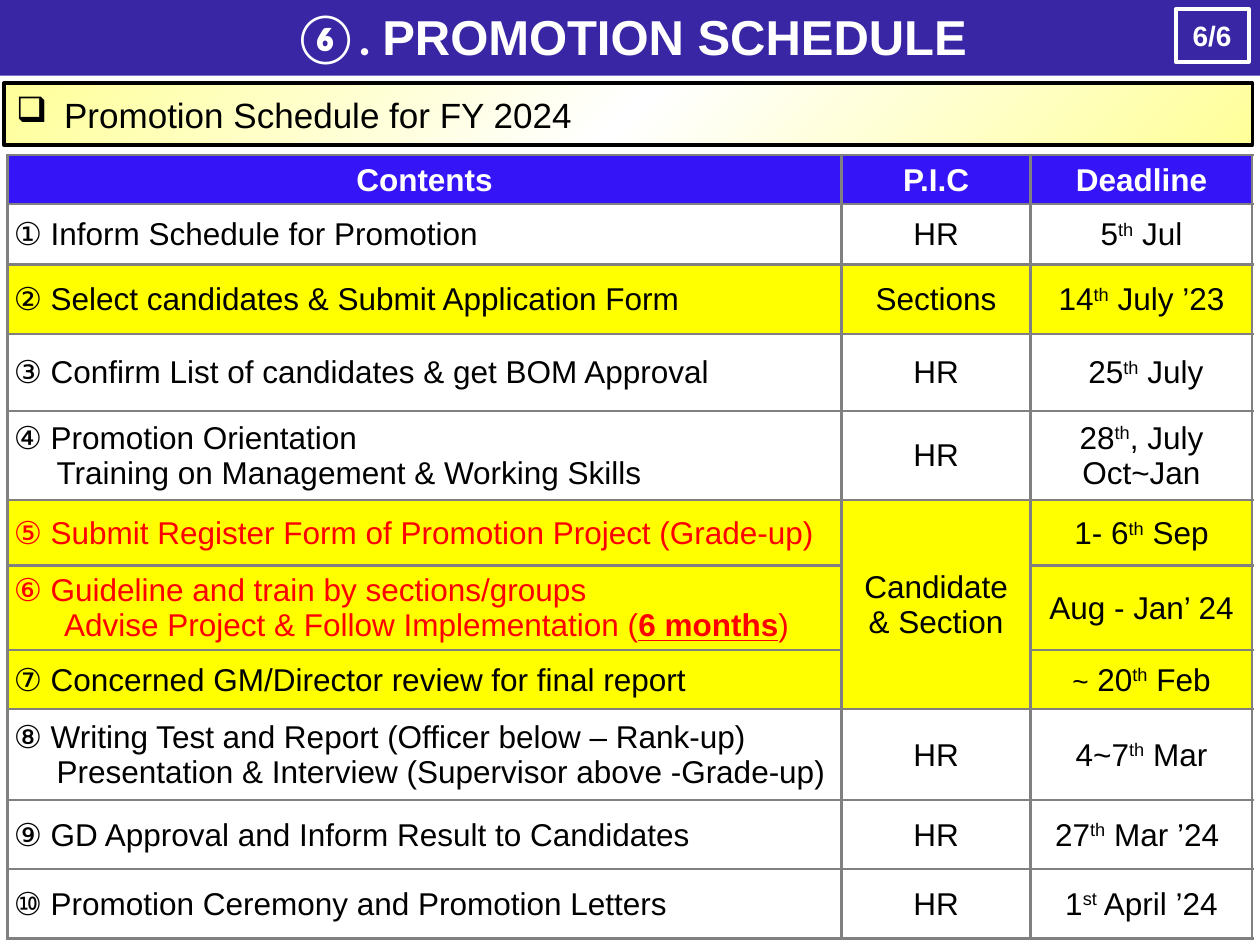
import copy

import pptx
import pptx.dml.color
import pptx.enum.shapes
import pptx.enum.text
import pptx.oxml
import pptx.oxml.ns
import pptx.util
from pptx.util import Inches

COLOURS = {
    "banner": "3826A4", "header": "3515F7", "highlight": "FFFF00",
    "cream": "FFFF99", "white": "FFFFFF", "black": "000000",
    "red": "FF0000", "grid": "808080",
}
ALIGN = pptx.enum.text.PP_ALIGN
MIDDLE = pptx.enum.text.MSO_ANCHOR.MIDDLE
TH = ("th", "raised")

HEADINGS = ["Contents", "P.I.C", "Deadline"]
COLUMN_WIDTHS = [6.62, 1.5, 1.76]
HEADER_HEIGHT = 0.39
TEXT_INDENT = 0.04

# Height, fill, text colour, hanging margin, contents, person in charge,
# deadline paragraphs. A styled span is a (text, style) pair.
ROWS = [
    (0.48, None, "black", 0.38, ["① Inform Schedule for Promotion"],
     ["HR"], [["5", TH, " Jul"]]),
    (0.55, "highlight", "black", 0.38, ["② Select candidates & Submit Application Form"],
     ["Sections"], [["14", TH, " July ’23"]]),
    (0.61, None, "black", 0.38, ["③ Confirm List of candidates & get BOM Approval"],
     ["HR"], [[" 25", TH, " July"]]),
    (0.71, None, "black", 0.38,
     ["④ Promotion Orientation\nTraining on Management & Working Skills"],
     ["HR"], [["28", TH, ", July"], ["Oct~Jan"]]),
    (0.52, "highlight", "red", 0.38,
     ["⑤ Submit Register Form of Promotion Project (Grade-up)"],
     ["Candidate", "& Section"], [["1- 6", TH, " Sep"]]),
    (0.67, "highlight", "red", 0.44,
     ["⑥ Guideline and train by sections/groups\n"
      "Advise Project & Follow Implementation (", ("6 months", "strong"), ")"],
     None, [["Aug - Jan’ 24"]]),
    (0.47, "highlight", "black", 0.38, ["⑦ Concerned GM/Director review for final report"],
     None, [[("~", "small"), " 20", TH, " Feb"]]),
    (0.72, None, "black", 0.38,
     ["⑧ Writing Test and Report (Officer below – Rank-up)\n"
      "Presentation & Interview (Supervisor above -Grade-up)"],
     ["HR"], [["4~7", TH, " Mar"]]),
    (0.55, None, "black", 0.38, ["⑨ GD Approval and Inform Result to Candidates"],
     ["HR"], [["27", TH, " Mar ’24 "]]),
    (0.55, None, "black", 0.38, ["⑩ Promotion Ceremony and Promotion Letters"],
     ["HR"], [["1", ("st", "raised"), " April ’24"]]),
]


def colour(name):
    return pptx.dml.color.RGBColor.from_string(COLOURS[name])


def set_font(font, size, colour_name, bold=False, name="Arial"):
    font.name, font.size, font.bold = name, pptx.util.Pt(size), bold
    font.color.rgb = colour(colour_name)


def set_hanging(para, margin, first_line):
    properties = para._p.get_or_add_pPr()
    properties.set("marL", str(Inches(margin)))
    properties.set("indent", str(Inches(first_line - margin)))
    return properties


def add_spans(para, spans):
    """Add plain or styled spans; a newline becomes a line break."""
    for item in spans:
        text, style = item if isinstance(item, tuple) else (item, None)
        for number, line in enumerate(text.split("\n")):
            if number:
                para.add_line_break()
            span = para.add_run()
            span.text = line
            if style == "raised":
                span._r.get_or_add_rPr().set("baseline", "30000")
            elif style == "strong":
                span.font.bold = span.font.underline = True
            elif style == "small":
                span.font.size = pptx.util.Pt(16)


def add_box(page, box, line_colour, line_width):
    shape = page.shapes.add_shape(
        pptx.enum.shapes.MSO_SHAPE.RECTANGLE, *map(Inches, box))
    shape.shadow.inherit = False
    shape.line.color.rgb = colour(line_colour)
    shape.line.width = pptx.util.Pt(line_width)
    shape.text_frame.word_wrap = True
    shape.text_frame.vertical_anchor = MIDDLE
    return shape


def place_title(page, box):
    title = page.shapes.title
    title.left, title.top, title.width, title.height = map(Inches, box)
    title.fill.solid()
    title.fill.fore_color.rgb = colour("banner")
    frame = title.text_frame
    frame.auto_size = pptx.enum.text.MSO_AUTO_SIZE.NONE
    frame.vertical_anchor = MIDDLE
    para = frame.paragraphs[0]
    para.alignment = ALIGN.CENTER
    for text, font_name in (("⑥. ", "Calibri"), ("PROMOTION SCHEDULE", "Arial")):
        span = para.add_run()
        span.text = text
        set_font(span.font, 28, "white", True, font_name)


def place_page_number(page, box):
    shape = add_box(page, box, "white", 2.25)
    shape.fill.solid()
    shape.fill.fore_color.rgb = colour("banner")
    shape.text_frame.margin_left = shape.text_frame.margin_right = 0
    para = shape.text_frame.paragraphs[0]
    para.text = "6/6"
    para.alignment = ALIGN.CENTER
    set_font(para.font, 16, "white", True)


def place_subtitle(page, box):
    shape = add_box(page, box, "black", 2)
    # Cream - white - cream diagonal gradient
    shape.fill.gradient()
    shape.fill.gradient_angle = 315
    first, middle = shape.fill.gradient_stops
    first.color.rgb, first.position = colour("cream"), 0
    middle.color.rgb, middle.position = colour("white"), 0.5
    stops = shape._element.spPr.find(".//" + pptx.oxml.ns.qn("a:gsLst"))
    last = copy.deepcopy(stops[0])
    last.set("pos", "100000")
    stops.append(last)
    # Bulleted text
    para = shape.text_frame.paragraphs[0]
    para.text = "Promotion Schedule for FY 2024"
    para.alignment = ALIGN.LEFT
    set_font(para.font, 20, "black")
    properties = set_hanging(para, 0.38, 0)
    bullet = pptx.oxml.parse_xml(
        f'<a:buChar {pptx.oxml.ns.nsdecls("a")} char="❑"/>')
    properties.insert(0, bullet)


def format_cell(cell, fill):
    cell.vertical_anchor = MIDDLE
    cell.margin_left = cell.margin_right = cell.margin_top = Inches(0.01)
    cell.margin_bottom = 0
    for side in ("lnL", "lnR", "lnT", "lnB"):
        cell._tc.get_or_add_tcPr().append(pptx.oxml.parse_xml(
            f'<a:{side} {pptx.oxml.ns.nsdecls("a")} w="{pptx.util.Pt(1.5)}">'
            f'<a:solidFill><a:srgbClr val="{COLOURS["grid"]}"/></a:solidFill>'
            f'</a:{side}>'))
    if fill:
        cell.fill.solid()
        cell.fill.fore_color.rgb = colour(fill)
    else:
        cell.fill.background()


def fill_cell(cell, paragraphs, text_colour, bold=False, align=ALIGN.CENTER):
    frame = cell.text_frame
    for number, spans in enumerate(paragraphs):
        para = frame.add_paragraph() if number else frame.paragraphs[0]
        para.alignment = align
        set_font(para.font, 18, text_colour, bold)
        add_spans(para, spans)


def place_schedule(page, box):
    table = page.shapes.add_table(
        len(ROWS) + 1, len(HEADINGS), *map(Inches, box)).table
    table.first_row = table.horz_banding = False
    for column, width in zip(table.columns, COLUMN_WIDTHS):
        column.width = Inches(width)
    for row, height in zip(table.rows, [HEADER_HEIGHT] + [entry[0] for entry in ROWS]):
        row.height = Inches(height)
    # Header row
    for cell, heading in zip(table.rows[0].cells, HEADINGS):
        format_cell(cell, "header")
        fill_cell(cell, [[heading]], "white", True)
    # Steps; a missing person in charge joins the cell above
    owner_row = 1
    for number, entry in enumerate(ROWS, 1):
        _, fill, text_colour, margin, contents, owner, deadline = entry
        cells = list(table.rows[number].cells)
        for cell in cells:
            format_cell(cell, fill)
        fill_cell(cells[0], [contents], text_colour, align=ALIGN.LEFT)
        set_hanging(cells[0].text_frame.paragraphs[0], margin, TEXT_INDENT)
        fill_cell(cells[2], deadline, "black")
        if owner:
            owner_row = number
            fill_cell(cells[1], [[line] for line in owner], "black")
        elif number == len(ROWS) or ROWS[number][5]:
            table.cell(owner_row, 1).merge(cells[1])


def main():
    deck = pptx.Presentation()
    deck.slide_width, deck.slide_height = Inches(10), Inches(7.5)
    page = deck.slides.add_slide(deck.slide_layouts[5])
    place_subtitle(page, (0.03, 0.66, 9.91, 0.49))
    place_title(page, (0, -0.03, 10, 0.63))
    place_page_number(page, (9.33, 0.07, 0.58, 0.42))
    place_schedule(page, (0.06, 1.23, 9.88, 6.22))
    deck.save("out.pptx")


if __name__ == "__main__":
    main()
